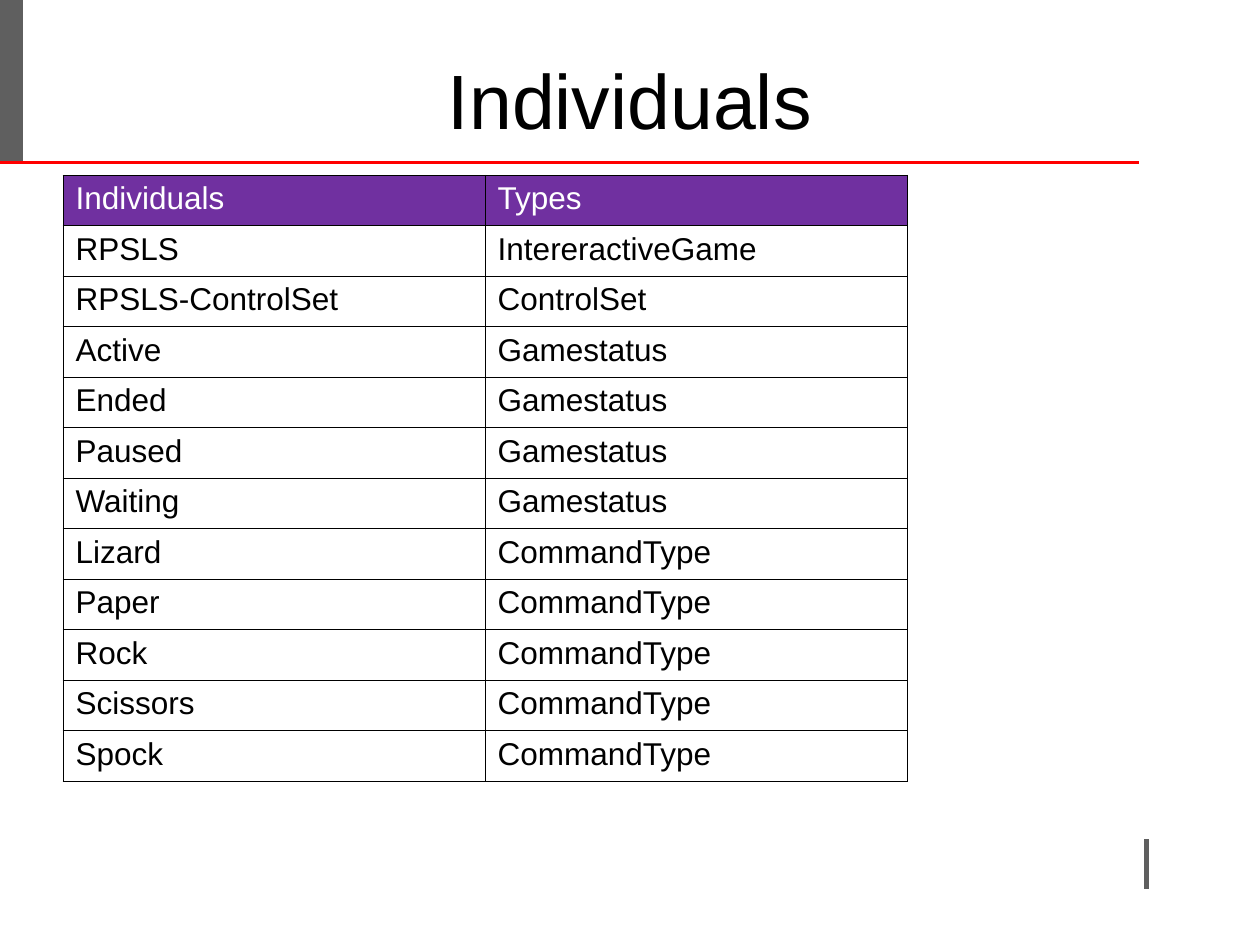
from pptx import Presentation
from pptx import util as u
from pptx.dml import color
from pptx.enum import shapes, text
from pptx.oxml import parse_xml
from pptx.oxml.ns import nsdecls

HUES = {"black": "000000", "white": "FFFFFF", "gray": "5F5F5F",
        "red": "FF0000", "purple": "7030A0"}
FONT = "Arial"
ROWS = [
    ("Individuals", "Types"),
    ("RPSLS", "IntereractiveGame"),
    ("RPSLS-ControlSet", "ControlSet"),
    *((name, "Gamestatus") for name in ("Active", "Ended", "Paused", "Waiting")),
    *((name, "CommandType") for name in ("Lizard", "Paper", "Rock", "Scissors", "Spock")),
]


def tint(hue):
    """Return the named colour."""
    return color.RGBColor.from_string(HUES[hue])


def write(para, words, size, hue):
    """Add one formatted run to a paragraph."""
    run = para.add_run()
    run.text = words
    run.font.name = FONT
    run.font.size = u.Pt(size)
    run.font.bold = False
    run.font.color.rgb = tint(hue)


def rule(slide, ends, hue, width):
    """Draw a straight line between two points in centimetres."""
    line = slide.shapes.add_connector(
        shapes.MSO_CONNECTOR.STRAIGHT, *(u.Cm(end) for end in ends))
    line.line.color.rgb = tint(hue)
    line.line.width = u.Pt(width)
    line._element.spPr.append(parse_xml(f"<a:effectLst {nsdecls('a')}/>"))


def frame(slide, left, top, width, height):
    """Draw the header bar, the header rule and the footer mark."""
    base = top + 3.28
    rule(slide, (left + 0.23, top, left + 0.23, base), "gray", 13.5)
    rule(slide, (left, base, left + 22.96, base), "red", 1.5)
    mark = left + width - 2.29
    rule(slide, (mark, top + height - 2.13, mark, top + height - 1.12), "gray", 3)


def head(slide, left, top, width, height):
    """Place and fill the title."""
    title = slide.shapes.title
    title.left, title.top = u.Cm(left), u.Cm(top)
    title.width, title.height = u.Cm(width), u.Cm(height)
    body = title.text_frame
    body.word_wrap = True
    body.auto_size = text.MSO_AUTO_SIZE.NONE
    body.vertical_anchor = text.MSO_ANCHOR.TOP
    body.margin_top = u.Cm(0.29)
    para = body.paragraphs[0]
    para.alignment = text.PP_ALIGN.CENTER
    write(para, "Individuals", 44, "black")


def edge(cell):
    """Give a cell thin black borders, placed ahead of its fill."""
    props = cell._tc.get_or_add_tcPr()
    for spot, side in enumerate(("lnL", "lnR", "lnT", "lnB")):
        props.insert(spot, parse_xml(
            f'<a:{side} {nsdecls("a")} w="{u.Pt(0.45)}"><a:solidFill>'
            f'<a:srgbClr val="{HUES["black"]}"/></a:solidFill></a:{side}>'))


def grid(slide, left, top, width, height):
    """Build the table of individuals and their types."""
    table = slide.shapes.add_table(
        len(ROWS), len(ROWS[0]), u.Cm(left), u.Cm(top), u.Cm(width), u.Cm(height)).table
    table.first_row = table.horz_banding = False
    for r, row in enumerate(ROWS):
        for c, words in enumerate(row):
            cell = table.cell(r, c)
            if r == 0:
                cell.fill.solid()
                cell.fill.fore_color.rgb = tint("purple")
            else:
                cell.fill.background()
            edge(cell)
            write(cell.text_frame.paragraphs[0], words, 18, "black" if r else "white")


def main():
    """Build and save the slide."""
    deck = Presentation()
    deck.slide_width, deck.slide_height = u.Cm(25.4), u.Cm(19.05)
    slide = deck.slides.add_slide(deck.slide_layouts[5])
    frame(slide, 0, 0, 25.4, 19.05)
    head(slide, 1.27, 0.76, 22.86, 3.18)
    grid(slide, 1.27, 3.53, 17.02, 12.22)
    deck.save("out.pptx")


if __name__ == "__main__":
    main()
